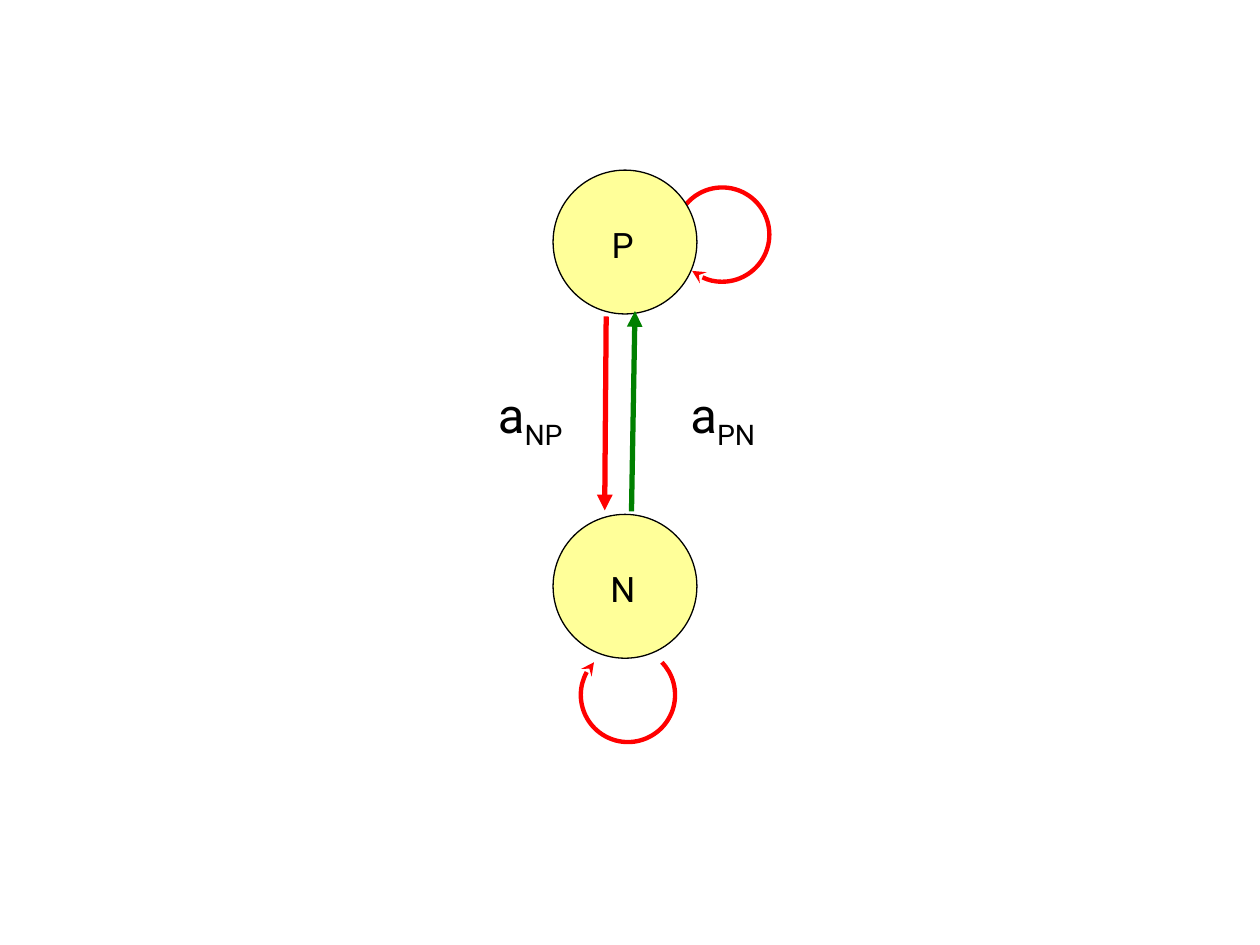
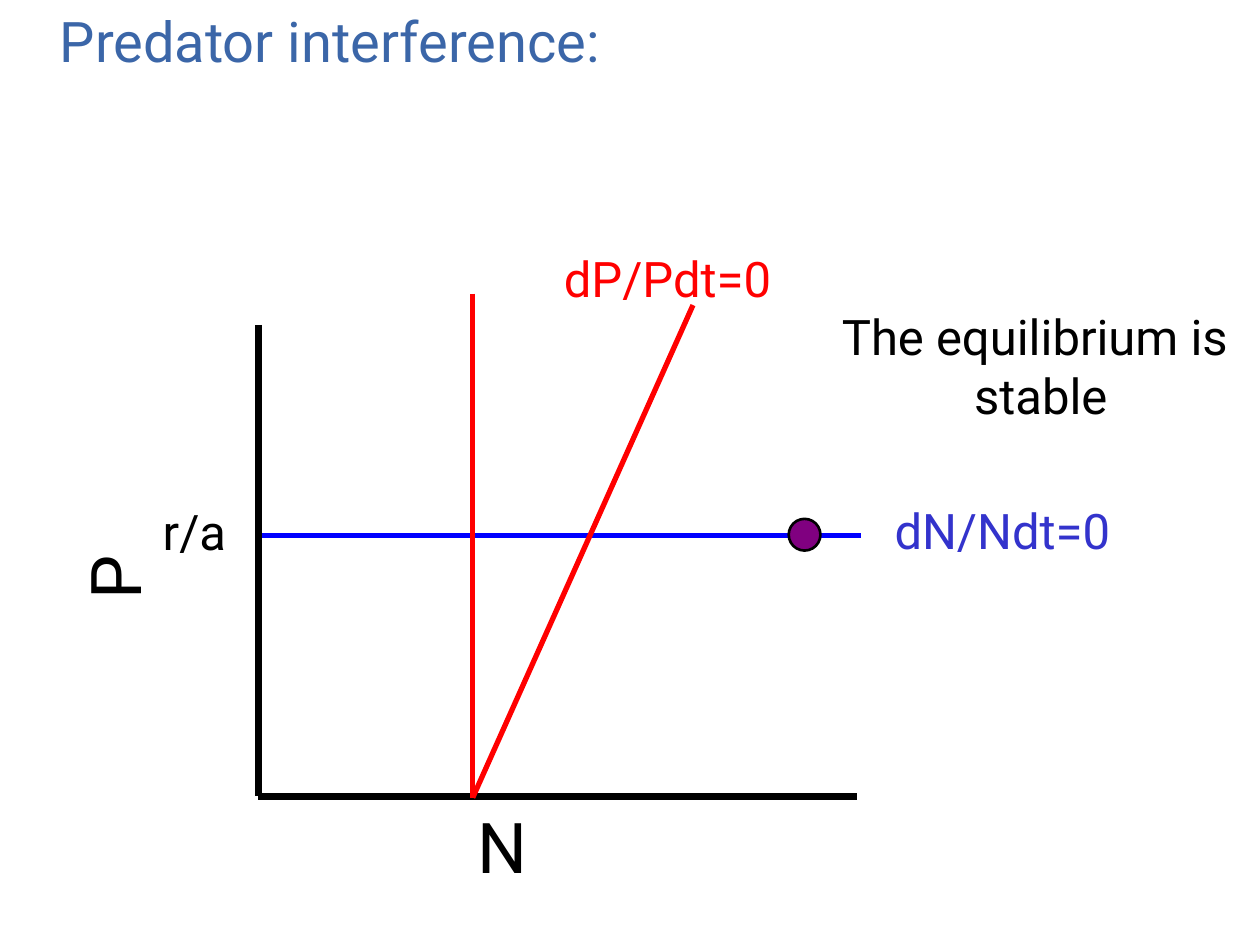
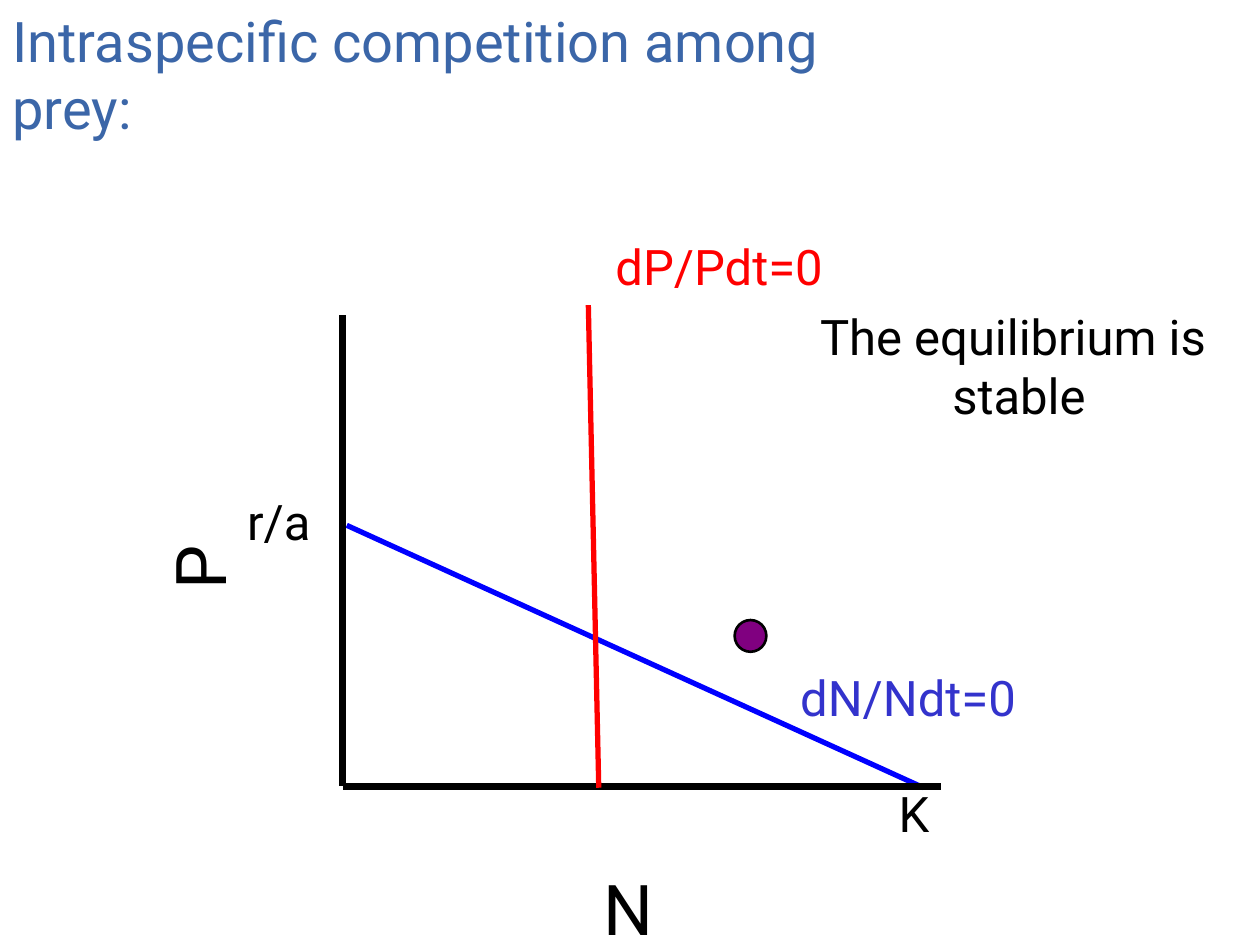
from lxml.etree import SubElement
from pptx import Presentation
from pptx.dml.color import RGBColor
from pptx.enum.shapes import MSO_CONNECTOR as Connector, MSO_SHAPE as Shape
from pptx.enum.text import PP_ALIGN as Align
from pptx.oxml.ns import qn
from pptx.util import Cm, Pt

FONT = "Roboto"
BLACK = RGBColor(0x00, 0x00, 0x00)
RED = RGBColor(0xFF, 0x00, 0x00)
GREEN = RGBColor(0x00, 0x80, 0x00)
BLUE = RGBColor(0x00, 0x00, 0xFF)
PREY_LABEL = RGBColor(0x33, 0x33, 0xCC)
TITLE_BLUE = RGBColor(0x3B, 0x66, 0xA8)
NODE_YELLOW = RGBColor(0xFF, 0xFF, 0x99)
PURPLE = RGBColor(0x80, 0x00, 0x80)

NODE_SIZE = 2.9
LOOP_SIZE = 1.9
POINT_SIZE = 0.64
AXIS_WIDTH = 12.06
AXIS_HEIGHT = 9.5
LINE_HEIGHT = 1.45


def add_text(slide, text, left, top, width, height=LINE_HEIGHT, *, size=28, color=BLACK,
             align=Align.CENTER, subscript="", wrap=True, spacing=None, rotation=0):
    box = slide.shapes.add_textbox(Cm(left), Cm(top), Cm(width), Cm(height))
    box.rotation = rotation
    box.text_frame.word_wrap = wrap
    paragraph = box.text_frame.paragraphs[0]
    paragraph.text = text
    paragraph.alignment = align
    paragraph.line_spacing = spacing
    if subscript:
        run = paragraph.add_run()
        run.text = subscript
        run._r.get_or_add_rPr().set("baseline", "-25000")
    for run in paragraph.runs:
        run.font.name = FONT
        run.font.size = Pt(size)
        run.font.color.rgb = color


def format_line(shape, color, weight, head=None):
    shape.line.color.rgb = color
    shape.line.width = Pt(weight)
    if head:
        SubElement(shape.line._get_or_add_ln(), qn("a:tailEnd"), type=head)


def add_line(slide, start, end, color, weight=3, head=None):
    x1, y1, x2, y2 = (Cm(value) for value in start + end)
    line = slide.shapes.add_connector(Connector.STRAIGHT, x1, y1, x2, y2)
    format_line(line, color, weight, head)
    SubElement(line._element.spPr, qn("a:effectLst"))


def add_circle(slide, left, top, size, fill, weight):
    circle = slide.shapes.add_shape(Shape.OVAL, Cm(left), Cm(top), Cm(size), Cm(size))
    circle.shadow.inherit = False
    circle.fill.solid()
    circle.fill.fore_color.rgb = fill
    format_line(circle, BLACK, weight)


def add_node(slide, name, left, top):
    add_circle(slide, left, top, NODE_SIZE, NODE_YELLOW, 0.75)
    add_text(slide, name, left - 0.08, top + 0.95, 2.97, 1.09, size=20)


def add_loop(slide, left, top, start_angle, end_angle):
    loop = slide.shapes.add_shape(Shape.ARC, Cm(left), Cm(top), Cm(LOOP_SIZE), Cm(LOOP_SIZE))
    loop.shadow.inherit = False
    loop.fill.background()
    for index, angle in enumerate((start_angle, end_angle)):
        loop.adjustments[index] = angle * 0.6
    format_line(loop, RED, 2.5, "stealth")


def add_title(slide, text, left, width, height, align):
    add_text(slide, text, left, 0, width, height, size=32, color=TITLE_BLUE, align=align)


def add_axes(slide, x, y, n_left, n_top):
    add_line(slide, (x, y - AXIS_HEIGHT), (x, y), BLACK, 4)
    add_line(slide, (x, y), (x + AXIS_WIDTH, y), BLACK, 4)
    axis_style = dict(size=40, align=Align.LEFT, wrap=False, spacing=1.15)
    add_text(slide, "N", n_left, n_top, 1.63, 2.21, **axis_style)
    add_text(slide, "P", x - 3.71, y - 5.46, 1.32, 2.18, rotation=270, **axis_style)
    add_text(slide, "r/a", x - 2.88, y - 6.07, 3.18)


def add_isocline_label(slide, text, left, top, color):
    add_text(slide, text, left, top, 6.99, color=color)


def add_state(slide, left, top):
    add_circle(slide, left, top, POINT_SIZE, PURPLE, 1.5)


def add_conclusion(slide, left):
    add_text(slide, "The equilibrium is\v stable", left, 6.05, 9.96, 2.62)


def build_interaction_web(slide):
    add_loop(slide, 13.61, 3.78, 219.6, 129.6)
    add_loop(slide, 11.71, 13.06, 316.1, 223.9)
    add_node(slide, "P", 11.15, 3.43)
    add_node(slide, "N", 11.15, 10.37)
    add_line(slide, (12.22, 6.38), (12.19, 10.29), RED, head="triangle")
    add_line(slide, (12.73, 10.31), (12.8, 6.27), GREEN, head="triangle")
    add_text(slide, "a", 9.32, 7.62, 2.74, subscript="NP")
    add_text(slide, "a", 13.21, 7.62, 2.72, subscript="PN")


def build_predator_interference(slide):
    add_line(slide, (5.28, 10.8), (17.35, 10.8), BLUE)
    add_axes(slide, 5.21, 16.05, 9.37, 15.82)
    add_title(slide, "Predator interference:", -0.43, 14.17, 1.63, Align.CENTER)
    add_isocline_label(slide, "dN/Ndt=0", 16.71, 9.96, PREY_LABEL)
    add_line(slide, (13.97, 6.15), (9.53, 16.08), RED)
    add_isocline_label(slide, "dP/Pdt=0", 9.96, 4.88, RED)
    add_state(slide, 15.9, 10.46)
    add_conclusion(slide, 15.88)
    add_line(slide, (9.53, 5.92), (9.53, 16.08), RED)


def build_prey_competition(slide):
    add_title(slide, "Intraspecific competition among prey:", 0, 17.35, 3, Align.LEFT)
    add_line(slide, (6.99, 10.59), (18.62, 15.88), BLUE)
    add_axes(slide, 6.91, 15.85, 11.91, 17.07)
    add_text(slide, "K", 16.94, 15.67, 2.97)
    add_line(slide, (11.86, 6.15), (12.07, 15.88), RED)
    add_isocline_label(slide, "dP/Pdt=0", 11, 4.65, RED)
    add_isocline_label(slide, "dN/Ndt=0", 14.81, 13.34, PREY_LABEL)
    add_state(slide, 14.81, 12.5)
    add_conclusion(slide, 15.44)


def main():
    presentation = Presentation()
    presentation.slide_width = Cm(25.4)
    presentation.slide_height = Cm(19.05)
    blank = presentation.slide_layouts[6]
    for build in (build_interaction_web, build_predator_interference, build_prey_competition):
        build(presentation.slides.add_slide(blank))
    presentation.save("out.pptx")


if __name__ == "__main__":
    main()
